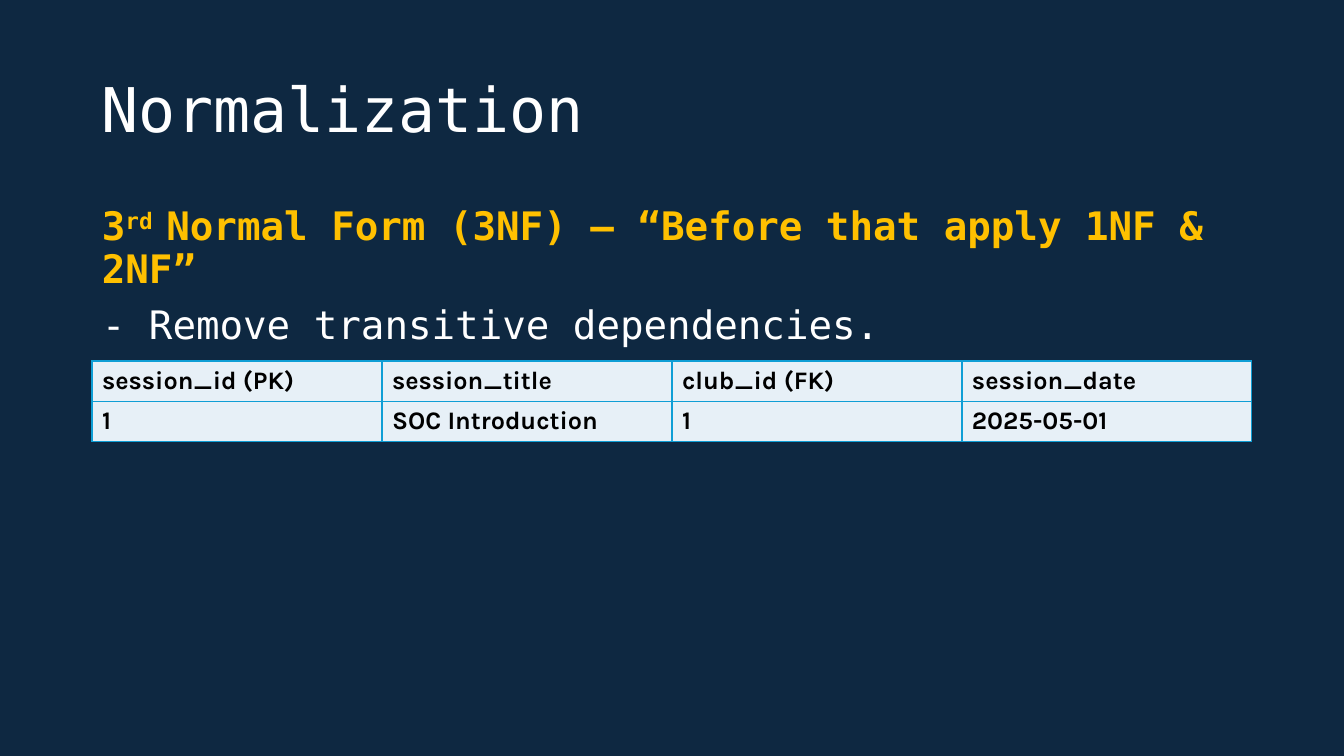
from lxml.etree import SubElement
from pptx import Presentation
from pptx.dml.color import RGBColor
from pptx.enum.text import MSO_ANCHOR
from pptx.oxml.ns import qn
from pptx.util import Emu, Pt

PX = 914400 / 100.8
COLORS = {
    "background": "0E2841",
    "text": "FFFFFF",
    "accent": "FFC000",
    "cell": "E7F0F7",
    "cell_text": "000000",
    "border": "0F9ED5",
}
MONO = "DejaVu Sans Mono"
TITLE = {"name": MONO, "size": Pt(44)}
HEADING = {"name": MONO, "size": Pt(28), "bold": True}
BODY = {"name": MONO, "size": Pt(28), "bold": False}
CELL = {"name": "Karla", "size": Pt(18), "bold": True}
SPACING = {"line_spacing": 0.9, "space_before": Pt(10)}
SESSIONS = [
    ["session_id (PK)", "session_title", "club_id (FK)", "session_date"],
    ["1", "SOC Introduction", "1", "2025-05-01"],
]


def px(length):
    return Emu(round(length * PX))


def color(name):
    return RGBColor.from_string(COLORS[name])


def apply(target, values):
    for name, value in values.items():
        setattr(target, name, value)


def add_run(paragraph, text, font, color_name):
    run = paragraph.add_run()
    run.text = text
    apply(run.font, font)
    run.font.color.rgb = color(color_name)
    return run


def add_text_frame(slide, box, anchor):
    frame = slide.shapes.add_textbox(*map(px, box)).text_frame
    apply(frame, {"word_wrap": True, "vertical_anchor": anchor})
    return frame


def add_title(slide, box):
    paragraph = add_text_frame(slide, box, MSO_ANCHOR.MIDDLE).paragraphs[0]
    paragraph.line_spacing = 0.9
    add_run(paragraph, "Normalization", TITLE, "text")


def add_body(slide, box):
    frame = add_text_frame(slide, box, MSO_ANCHOR.TOP)
    heading, rule = frame.paragraphs[0], frame.add_paragraph()
    for paragraph in (heading, rule):
        apply(paragraph, SPACING)
    add_run(heading, "3", HEADING, "accent")
    ordinal = add_run(heading, "rd ", HEADING, "accent")
    ordinal.font._element.set("baseline", "30000")
    add_run(heading, "Normal Form (3NF) – “Before that apply 1NF & 2NF”",
            HEADING, "accent")
    add_run(rule, "- Remove transitive dependencies.", BODY, "text")


def add_borders(cell):
    properties = cell._tc.get_or_add_tcPr()
    for side in ("lnL", "lnR", "lnT", "lnB"):
        line = SubElement(properties, qn(f"a:{side}"), w=str(Pt(1)))
        fill = SubElement(line, qn("a:solidFill"))
        SubElement(fill, qn("a:srgbClr"), val=COLORS["border"])


def add_session_table(slide, box):
    table = slide.shapes.add_table(
        len(SESSIONS), len(SESSIONS[0]), *map(px, box)).table
    apply(table, {"first_row": False, "horz_banding": False})
    for row, texts in enumerate(SESSIONS):
        for column, text in enumerate(texts):
            cell = table.cell(row, column)
            add_borders(cell)
            cell.fill.solid()
            cell.fill.fore_color.rgb = color("cell")
            cell.vertical_anchor = MSO_ANCHOR.MIDDLE
            add_run(cell.text_frame.paragraphs[0], text, CELL, "cell_text")


def main():
    presentation = Presentation()
    apply(presentation, {"slide_width": px(1344), "slide_height": px(756)})
    slide = presentation.slides.add_slide(presentation.slide_layouts[6])
    slide.background.fill.solid()
    slide.background.fill.fore_color.rgb = color("background")
    add_title(slide, (92, 40, 1160, 146))
    add_body(slide, (92, 202, 1233, 480))
    add_session_table(slide, (92, 361, 1160, 79))
    presentation.save("out.pptx")


if __name__ == "__main__":
    main()
